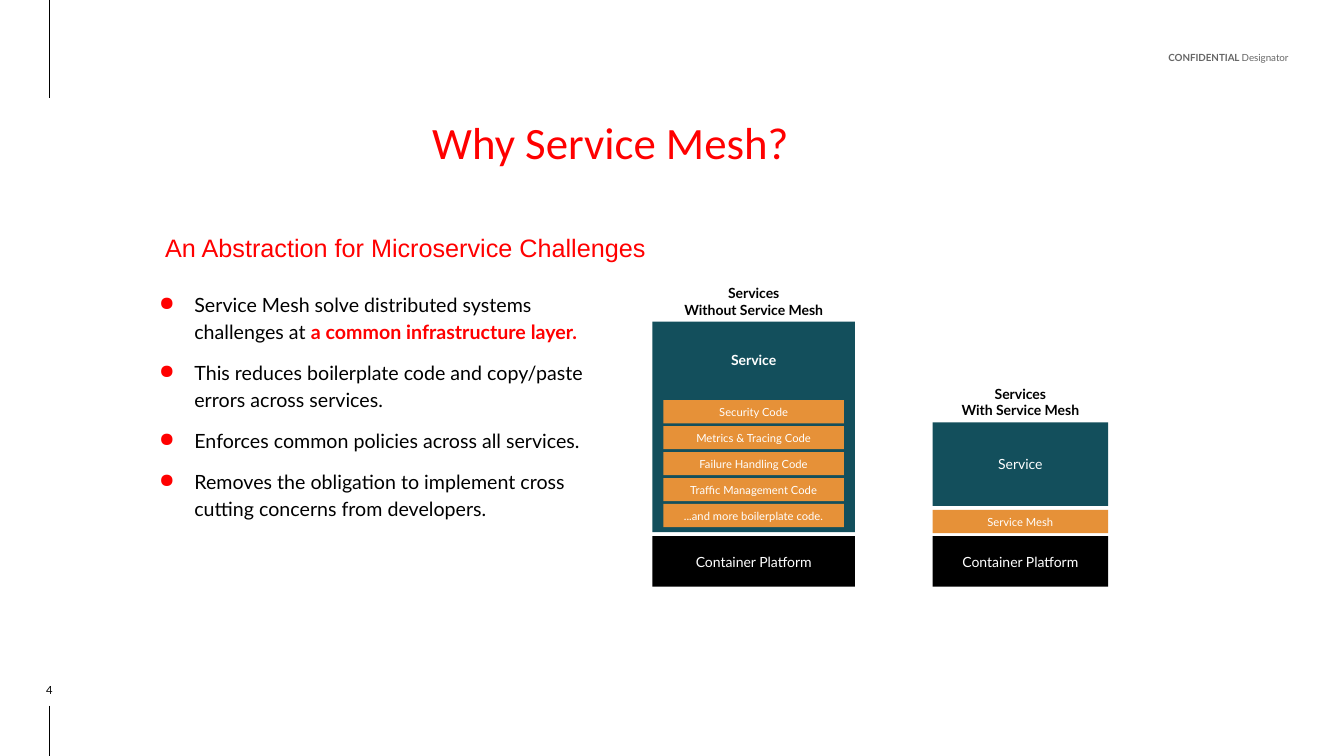
from lxml import etree
from pptx import Presentation
from pptx.dml.color import RGBColor
from pptx.enum.shapes import MSO_CONNECTOR, MSO_SHAPE
from pptx.enum.text import MSO_ANCHOR, PP_ALIGN
from pptx.oxml.ns import qn
from pptx.util import Inches, Pt

LEFT, CENTER, RIGHT = PP_ALIGN.LEFT, PP_ALIGN.CENTER, PP_ALIGN.RIGHT
TOP, MIDDLE, BOTTOM = MSO_ANCHOR.TOP, MSO_ANCHOR.MIDDLE, MSO_ANCHOR.BOTTOM
RECTANGLE, STRAIGHT = MSO_SHAPE.RECTANGLE, MSO_CONNECTOR.STRAIGHT

RED = RGBColor(0xFF, 0x00, 0x00)
BLACK = RGBColor(0x00, 0x00, 0x00)
WHITE = RGBColor(0xFF, 0xFF, 0xFF)
GRAY = RGBColor(0x66, 0x66, 0x66)
TEAL = RGBColor(0x13, 0x4F, 0x5C)
ORANGE = RGBColor(0xE6, 0x91, 0x38)

PADDING = 0.1
BAR_HEIGHT = 0.23
PLATFORM_HEIGHT = 0.5
LABEL_WIDTH, LABEL_HEIGHT, LABEL_RISE = 2.01, 0.44, 0.47

BULLETS = [
    [("Service Mesh solve distributed systems challenges at ", False),
     ("a common infrastructure layer.", True)],
    [("This reduces boilerplate code and copy/paste errors across services.", False)],
    [("Enforces common policies across all services.", False)],
    [("Removes the obligation to implement cross cutting concerns from developers.", False)],
]
BOILERPLATE = [
    "Security Code",
    "Metrics & Tracing Code",
    "Failure Handling Code",
    "Traffic Management Code",
    "...and more boilerplate code.",
]


def set_frame(frame, anchor, inset_x, inset_y):
    frame.word_wrap = True
    frame.vertical_anchor = anchor
    frame.margin_left = frame.margin_right = Inches(inset_x)
    frame.margin_top = frame.margin_bottom = Inches(inset_y)


def set_font(font, size, color, name="Lato", bold=False):
    font.name, font.size, font.bold = name, Pt(size), bold
    font.color.rgb = color


def add_text(page, box, lines, size, color, name="Lato", bold=False,
             align=CENTER, anchor=TOP, inset=PADDING):
    frame = page.shapes.add_textbox(*map(Inches, box)).text_frame
    set_frame(frame, anchor, inset, inset)
    for index, line in enumerate(lines):
        para = frame.paragraphs[0] if index == 0 else frame.add_paragraph()
        para.text, para.alignment = line, align
        set_font(para.font, size, color, name, bold)
    return frame


def add_block(page, box, text, fill, size=10, bold=False, anchor=MIDDLE, inset_y=0):
    block = page.shapes.add_shape(RECTANGLE, *map(Inches, box))
    block.shadow.inherit = False
    block.fill.solid()
    block.fill.fore_color.rgb = fill
    block.line.fill.background()
    set_frame(block.text_frame, anchor, PADDING, inset_y)
    para = block.text_frame.paragraphs[0]
    para.text, para.alignment = text, CENTER
    set_font(para.font, size, WHITE, bold=bold)


def add_margin_rule(page, x, top, bottom):
    rule = page.shapes.add_connector(STRAIGHT, *map(Inches, (x, top, x, bottom)))
    rule.line.color.rgb = BLACK
    rule.line.width = Pt(0.75)
    etree.SubElement(rule._element.spPr, qn("a:effectLst"))


def add_page_frame(page):
    """Draw the margin rules, the confidentiality mark and the page number."""
    add_margin_rule(page, 0.49, 0, 0.97)
    add_margin_rule(page, 0.49, 7, 7.5)
    frame = add_text(page, (11.01, 0.3, 1.77, 0.33), [""], 7, GRAY,
                     align=RIGHT, anchor=BOTTOM, inset=0)
    para = frame.paragraphs[0]
    para.line_spacing = 1.5
    for text, bold in (("CONFIDENTIAL ", True), ("Designator", False)):
        span = para.add_run()
        span.text = text
        set_font(span.font, 7, GRAY, bold=bold)
    add_text(page, (0.09, 6.75, 0.8, 0.16), ["4"], 8, BLACK, anchor=BOTTOM, inset=0)


def add_headings(page):
    add_text(page, (3.16, 1.04, 5.79, 0.8), ["Why Service Mesh?"], 32, RED, "Calibri")
    frame = add_text(page, (1.54, 2.16, 5.62, 0.61),
                     ["An Abstraction for Microservice Challenges"],
                     18, RED, "Arial", align=LEFT)
    frame.paragraphs[0].line_spacing = 1.15


def set_bullet(para):
    properties = para._p.get_or_add_pPr()
    properties.set("marL", str(Inches(0.5)))
    properties.set("indent", str(Inches(-0.35)))
    color = etree.SubElement(properties, qn("a:buClr"))
    etree.SubElement(color, qn("a:srgbClr"), val=str(RED))
    etree.SubElement(properties, qn("a:buChar"), char="●")


def add_bullets(page, box):
    frame = page.shapes.add_textbox(*map(Inches, box)).text_frame
    set_frame(frame, TOP, PADDING, PADDING)
    for index, spans in enumerate(BULLETS):
        para = frame.paragraphs[0] if index == 0 else frame.add_paragraph()
        para.line_spacing = 1.15
        para.space_before = Pt(10 if index else 0)
        set_bullet(para)
        for text, strong in spans:
            span = para.add_run()
            span.text = text
            set_font(span.font, 14, RED if strong else BLACK, bold=strong)


def add_stack_ends(page, box, title):
    """Put the label above a stack and the platform at its foot."""
    left, top, width, height = box
    label_left = left + (width - LABEL_WIDTH) / 2
    add_text(page, (label_left, top - LABEL_RISE, LABEL_WIDTH, LABEL_HEIGHT),
             ["Services", title], 10, BLACK, bold=True)
    add_block(page, (left, top + height - PLATFORM_HEIGHT, width, PLATFORM_HEIGHT),
              "Container Platform", BLACK)


def add_stack_without_mesh(page, box):
    left, top, width, height = box
    add_stack_ends(page, box, "Without Service Mesh")
    add_block(page, (left, top, width, 2.09), "Service", TEAL,
              bold=True, anchor=TOP, inset_y=0.3)
    for index, text in enumerate(BOILERPLATE):
        bar_top = top + 0.78 + index * 1.03 / (len(BOILERPLATE) - 1)
        add_block(page, (left + 0.11, bar_top, width - 0.22, BAR_HEIGHT),
                  text, ORANGE, size=8)


def add_stack_with_mesh(page, box):
    left, top, width, height = box
    add_stack_ends(page, box, "With Service Mesh")
    add_block(page, (left, top, width, 0.83), "Service", TEAL)
    add_block(page, (left, top + 0.87, width, BAR_HEIGHT), "Service Mesh", ORANGE, size=8)


def main():
    deck = Presentation()
    deck.slide_width, deck.slide_height = Inches(13.33), Inches(7.5)
    page = deck.slides.add_slide(deck.slide_layouts[6])
    add_page_frame(page)
    add_headings(page)
    add_bullets(page, (1.33, 2.77, 4.8, 3.45))
    add_stack_without_mesh(page, (6.47, 3.19, 2.01, 2.63))
    add_stack_with_mesh(page, (9.25, 4.19, 1.74, 1.63))
    deck.save("out.pptx")


if __name__ == "__main__":
    main()
